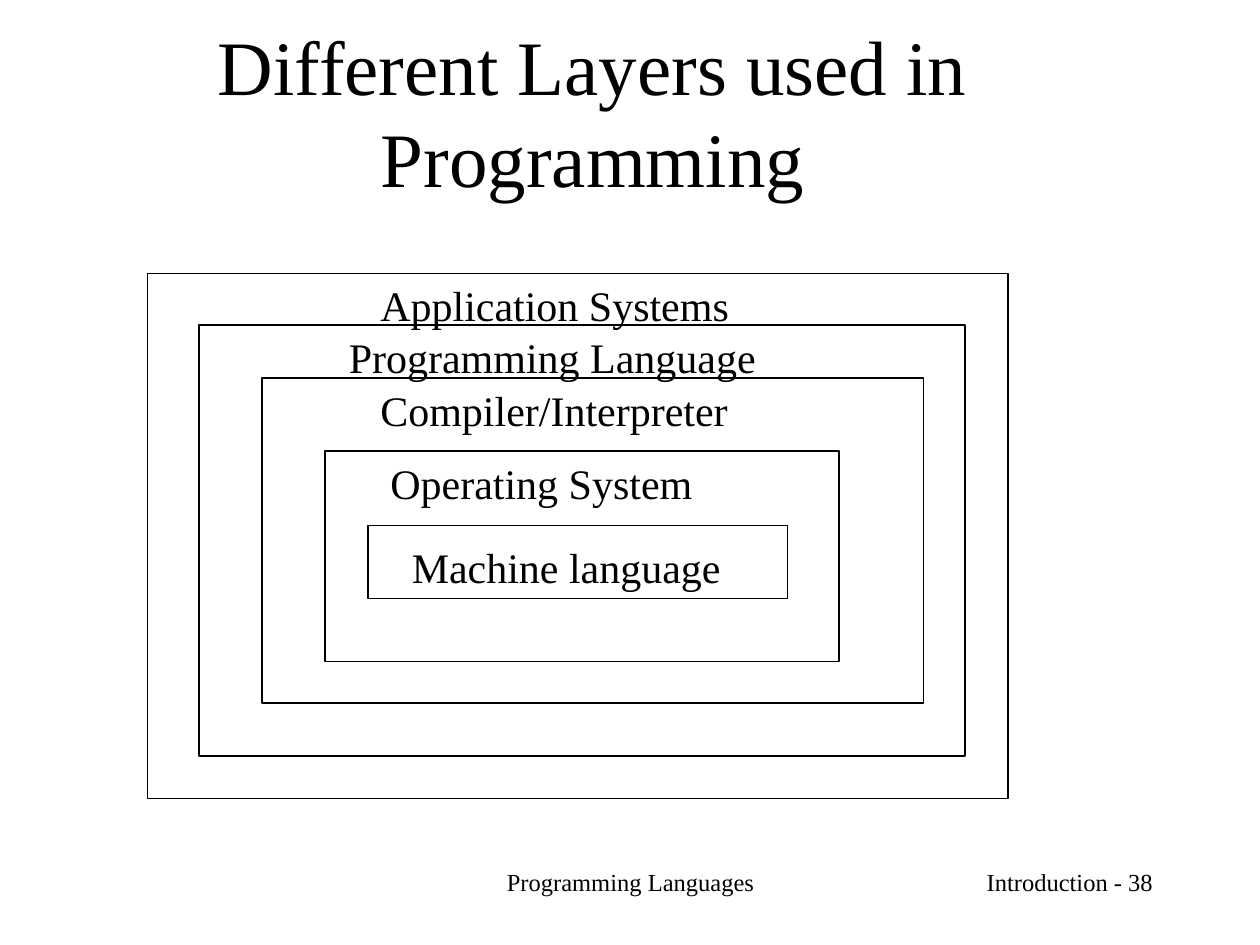
from dataclasses import dataclass

import pptx
import pptx.dml.color
import pptx.enum.shapes
import pptx.enum.text
import pptx.util

Inches = pptx.util.Inches
Align = pptx.enum.text.PP_ALIGN
Anchor = pptx.enum.text.MSO_ANCHOR
AutoSize = pptx.enum.text.MSO_AUTO_SIZE


@dataclass(frozen=True)
class Theme:
    font: str = "Times New Roman"
    ink: pptx.dml.color.RGBColor = pptx.dml.color.RGBColor(0, 0, 0)
    title: int = 44
    label: int = 24
    footer: int = 14
    line: float = 0.75


@dataclass(frozen=True)
class Box:
    left: float
    top: float
    width: float
    height: float

    def lengths(self) -> tuple:
        return tuple(map(Inches, (self.left, self.top, self.width, self.height)))


@dataclass(frozen=True)
class Label:
    text: str
    box: Box
    size: int
    align: Align = Align.LEFT


@dataclass(frozen=True)
class Layer:
    frame: Box
    label: Label


THEME = Theme()
TITLE = Label("Different Layers used in Programming",
              Box(0.33, 0.17, 8.75, 1.42), THEME.title, Align.CENTER)
FOOTERS = (
    Label("Programming Languages", Box(3.42, 6.83, 3.17, 0.5), THEME.footer, Align.CENTER),
    Label("Introduction - 38", Box(7.17, 6.83, 2.08, 0.5), THEME.footer, Align.RIGHT),
)
LAYERS = (
    Layer(Box(2.92, 4.17, 3.33, 0.58),
          Label("Machine language", Box(3.17, 4.25, 2.67, 0.5), THEME.label)),
    Layer(Box(2.58, 3.58, 4.08, 1.67),
          Label("Operating System", Box(3, 3.58, 3.17, 0.5), THEME.label)),
    Layer(Box(2.08, 3, 5.25, 2.58),
          Label("Compiler/Interpreter", Box(2.92, 3, 3.58, 0.5), THEME.label)),
    Layer(Box(1.58, 2.58, 6.08, 3.42),
          Label("Programming Language", Box(2.67, 2.58, 4.5, 0.5), THEME.label)),
    Layer(Box(1.17, 2.17, 6.83, 4.17),
          Label("Application Systems", Box(2.92, 2.17, 3.67, 0.5), THEME.label)),
)


def set_text(tf, label: Label, anchor: Anchor = Anchor.TOP) -> None:
    frame_format = {"word_wrap": True, "auto_size": AutoSize.NONE, "vertical_anchor": anchor}
    for name, value in frame_format.items():
        setattr(tf, name, value)
    p = tf.paragraphs[0]
    p.alignment = label.align
    r = p.add_run()
    r.text = label.text
    for name, value in {"name": THEME.font, "size": pptx.util.Pt(label.size)}.items():
        setattr(r.font, name, value)
    r.font.color.rgb = THEME.ink


def add_title(s, label: Label) -> None:
    sp = s.shapes.title
    for name, value in zip(("left", "top", "width", "height"), label.box.lengths()):
        setattr(sp, name, value)
    set_text(sp.text_frame, label, Anchor.MIDDLE)


def add_label(s, label: Label) -> None:
    set_text(s.shapes.add_textbox(*label.box.lengths()).text_frame, label)


def add_layer(s, layer: Layer) -> None:
    sp = s.shapes.add_shape(pptx.enum.shapes.MSO_SHAPE.RECTANGLE, *layer.frame.lengths())
    sp.shadow.inherit = False
    sp.fill.background()
    sp.line.color.rgb = THEME.ink
    sp.line.width = pptx.util.Pt(THEME.line)
    add_label(s, layer.label)


def main() -> None:
    prs = pptx.Presentation()
    prs.slide_width, prs.slide_height = Inches(10), Inches(7.5)
    s = prs.slides.add_slide(prs.slide_layouts.get_by_name("Title Only"))
    add_title(s, TITLE)
    for footer in FOOTERS:
        add_label(s, footer)
    for layer in LAYERS:
        add_layer(s, layer)
    prs.save("out.pptx")


if __name__ == "__main__":
    main()
